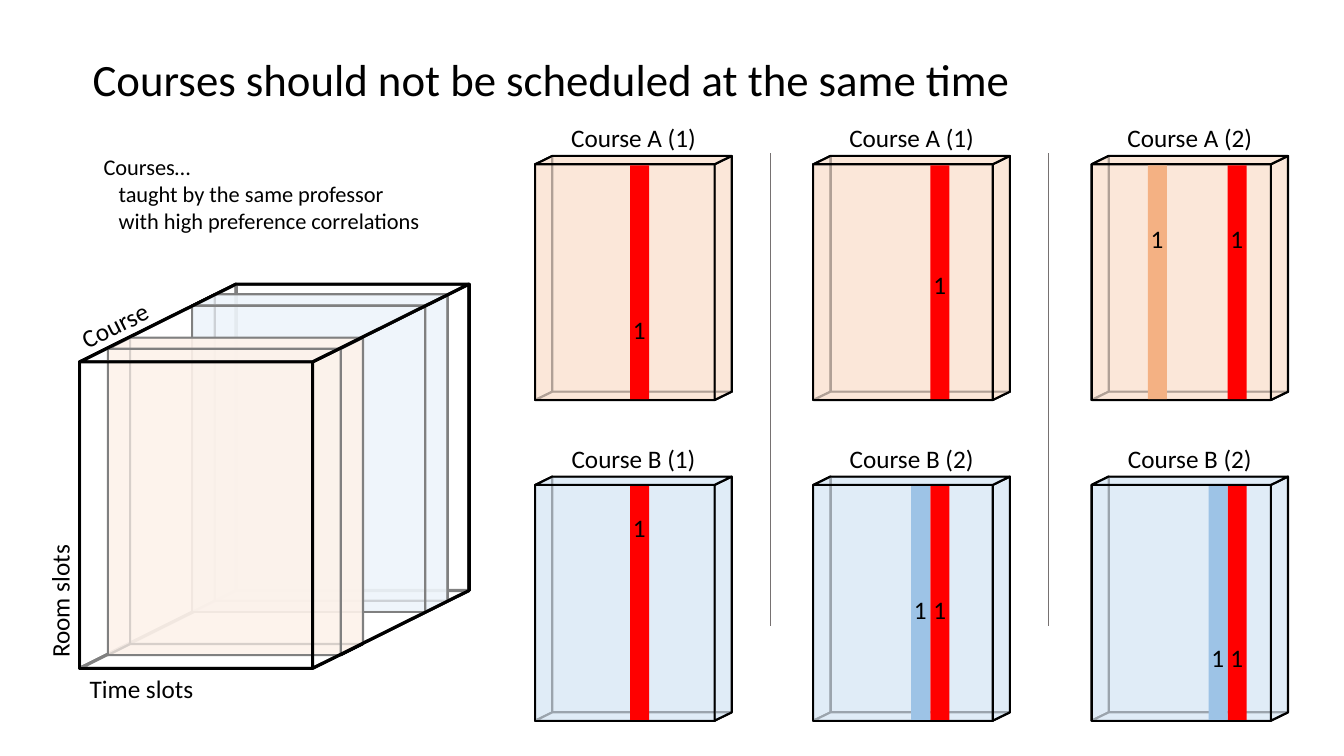
from dataclasses import dataclass

from lxml.etree import SubElement
from pptx import Presentation
from pptx.dml.color import RGBColor
from pptx.enum.shapes import MSO_CONNECTOR, MSO_SHAPE
from pptx.enum.text import MSO_ANCHOR, MSO_AUTO_SIZE, PP_ALIGN
from pptx.oxml.ns import qn
from pptx.util import Cm, Pt


@dataclass(frozen=True)
class Theme:
    font: str = "Calibri"
    title: int = 32
    label: int = 18
    note: int = 16
    ink: str = "000000"
    white: str = "FFFFFF"
    red: str = "FF0000"
    peach: str = "FBE5D6"
    orange: str = "F4B183"
    pale: str = "DEEBF7"
    blue: str = "9DC3E6"
    rule: str = "767171"


T = Theme()

TITLE = "Courses should not be scheduled at the same time"
NOTES = ["Courses…", "taught by the same professor", "with high preference correlations"]
NOTE_INDENT = [0, 0.38, 0.38]
AXES = [
    ("Time slots", (2.01, 16.84, 4.42, 1.02), 0),
    ("Room slots", (-0.69, 14.12, 4.39, 1.02), 270),
    ("Course", (1.63, 7.37, 3.71, 0.84), 333.3),
]
CUBE = dict(x=2.01, y=9.12, w=5.87, h=7.72, dx=3.94, dy=1.96)
SLABS = [(4.85, 7.7, T.pale), (2.72, 8.79, T.peach)]
SLAB = dict(w=5.87, h=7.72, dx=0.56, dy=0.28)
PANEL = dict(w=4.52, h=5.94, dx=0.43, dy=0.21)
PANEL_X, PANEL_Y, STEP_X, STEP_Y = 13.49, 4.14, 7.01, 8.08
BAR_W, BAR_H = 0.48, 5.89
ROWS = [
    (T.peach, [
        ("Course A (1)", 3.66, [(2.39, T.red)]),
        ("Course A (1)", 2.51, [(2.95, T.red)]),
        ("Course A (2)", 1.37, [(3.43, T.red), (1.42, T.orange)]),
    ]),
    (T.pale, [
        ("Course B (1)", 0.56, [(2.39, T.red)]),
        ("Course B (2)", 2.64, [(2.95, T.red), (2.46, T.blue)]),
        ("Course B (2)", 3.84, [(3.43, T.red), (2.95, T.blue)]),
    ]),
]
DIVIDER_X, DIVIDER_TOP, DIVIDER_END = 19.41, 3.86, 15.77


def style(obj, **values):
    for name, value in values.items():
        setattr(obj, name, value)


def place(s, box):
    style(s, **dict(zip(("left", "top", "width", "height"), map(Cm, box))))


def write(s, lines, size, align=PP_ALIGN.LEFT, indents=(0,)):
    tf = s.text_frame
    style(tf, word_wrap=True, auto_size=MSO_AUTO_SIZE.SHAPE_TO_FIT_TEXT,
          vertical_anchor=MSO_ANCHOR.TOP)
    for i, (line, indent) in enumerate(zip(lines, indents)):
        p = tf.add_paragraph() if i else tf.paragraphs[0]
        p.alignment = align
        if indent:
            p._p.get_or_add_pPr().set("marL", str(Cm(indent)))
        r = p.add_run()
        r.text = line
        style(r.font, name=T.font, size=Pt(size))
        r.font.color.rgb = RGBColor.from_string(T.ink)


def text(shapes, lines, box, size=T.label, **options):
    sp = shapes.add_textbox(*map(Cm, box))
    write(sp, lines, size, **options)
    return sp


def shape(shapes, kind, box, color, alpha=None, line=None):
    s = shapes.add_shape(kind, *map(Cm, box))
    s.shadow.inherit = False
    s.fill.solid()
    s.fill.fore_color.rgb = RGBColor.from_string(color)
    if alpha:
        rgb = s.fill._xPr.find(".//" + qn("a:srgbClr"))
        SubElement(rgb, qn("a:alpha")).set("val", str(alpha * 1000))
    if line:
        s.line.color.rgb = RGBColor.from_string(T.ink)
        s.line.width = Pt(line)
    else:
        s.line.fill.background()
    return s


def half_box(shapes, front, x, y, w, h, dx, dy, **look):
    face = (x, y) if front else (x + dx, y - dy)
    slant_y = y - dy if front else y + h - dy
    side_x = x + w if front else x
    length = h + dy

    def face_part():
        shape(shapes, MSO_SHAPE.RECTANGLE, (*face, w, h), **look)

    def slant_part():
        s = shape(shapes, MSO_SHAPE.PARALLELOGRAM, (x, slant_y, w + dx, dy), **look)
        s.adjustments[0] = dx / dy

    def side_part():
        box = (side_x + (dx - length) / 2, y - dy + (length - dx) / 2, length, dx)
        s = shape(shapes, MSO_SHAPE.PARALLELOGRAM, box, **look)
        s.adjustments[0] = dy / dx
        s.rotation = 90
        s.element.spPr.get_or_add_xfrm().set("flipH", "1")

    parts = (face_part, side_part, slant_part)
    for part in parts:
        part()


def full_box(shapes, x, y, size, color):
    for front in (False, True):
        half_box(shapes, front, x, y, **size, color=color, alpha=70, line=1.5)


def panel(shapes, x, y, color, name, digit_y, bars):
    full_box(shapes, x, y, PANEL, color)
    text(shapes, [name], (x, y - 1.17, PANEL["w"] + PANEL["dx"], 1.02),
         align=PP_ALIGN.CENTER)
    for offset, bar_color in bars:
        shape(shapes, MSO_SHAPE.RECTANGLE, (x + offset, y + 0.03, BAR_W, BAR_H), bar_color)
        text(shapes, ["1"], (x + offset - 0.18, y + digit_y, 0.71, 1.02))


prs = Presentation()
style(prs, slide_width=Cm(33.87), slide_height=Cm(19.05))
slide = prs.slides.add_slide(prs.slide_layouts[5])
shapes = slide.shapes

place(shapes.title, (2.08, 1.17, 24.99, 1.63))
write(shapes.title, [TITLE], T.title)
text(shapes, NOTES, (2.36, 3.73, 9.17, 2.31), T.note, indents=NOTE_INDENT)

half_box(shapes, False, **CUBE, color=T.white, alpha=70, line=2.25)
for name, box, angle in AXES:
    text(shapes, [name], box).rotation = angle
for x, y, color in SLABS:
    full_box(shapes.add_group_shape().shapes, x, y, SLAB, color)
half_box(shapes, True, **CUBE, color=T.white, alpha=50, line=2.25)

for row, (color, courses) in enumerate(ROWS):
    for col, course in enumerate(courses):
        panel(shapes.add_group_shape().shapes, PANEL_X + col * STEP_X,
              PANEL_Y + row * STEP_Y, color, *course)

for gap in range(2):
    x = Cm(DIVIDER_X + gap * STEP_X)
    c = shapes.add_connector(MSO_CONNECTOR.STRAIGHT, x, Cm(DIVIDER_TOP), x, Cm(DIVIDER_END))
    c.line.color.rgb = RGBColor.from_string(T.rule)
    c.line.width = Pt(0.5)
    SubElement(c.element.spPr, qn("a:effectLst"))

prs.save("out.pptx")
